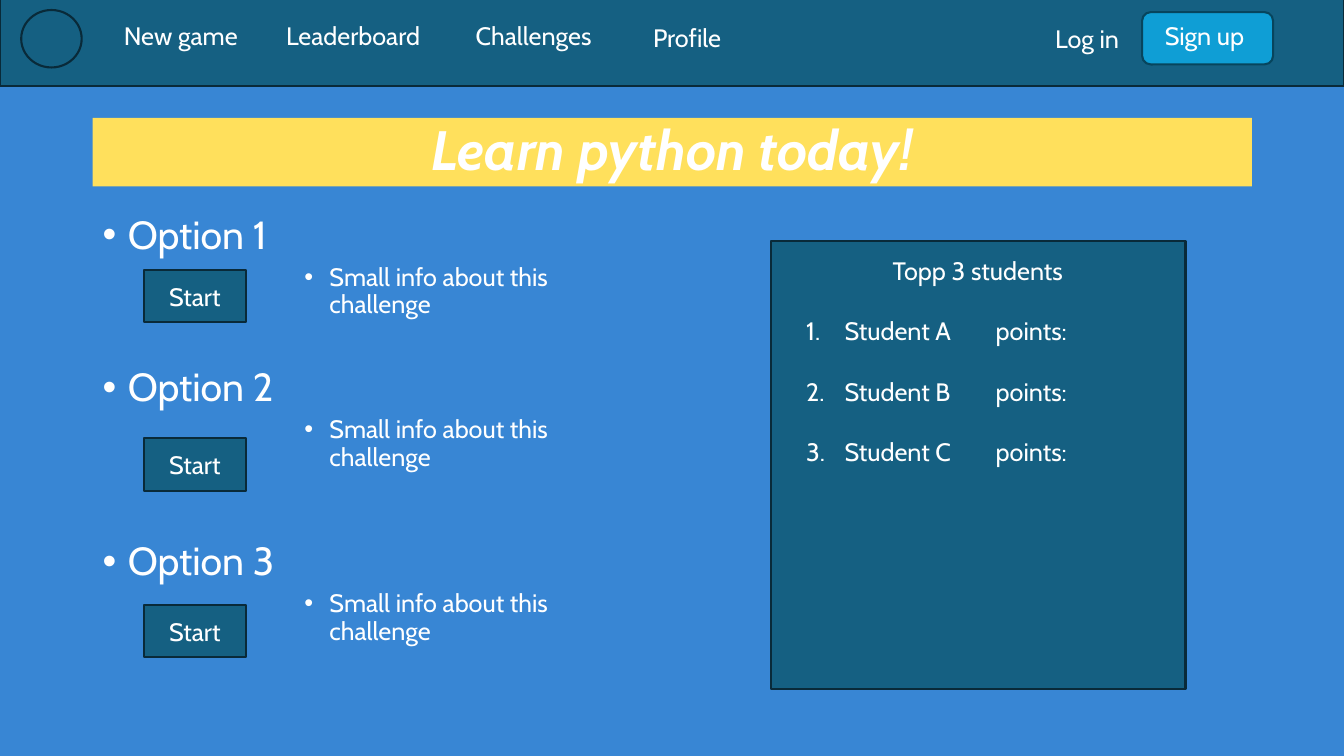
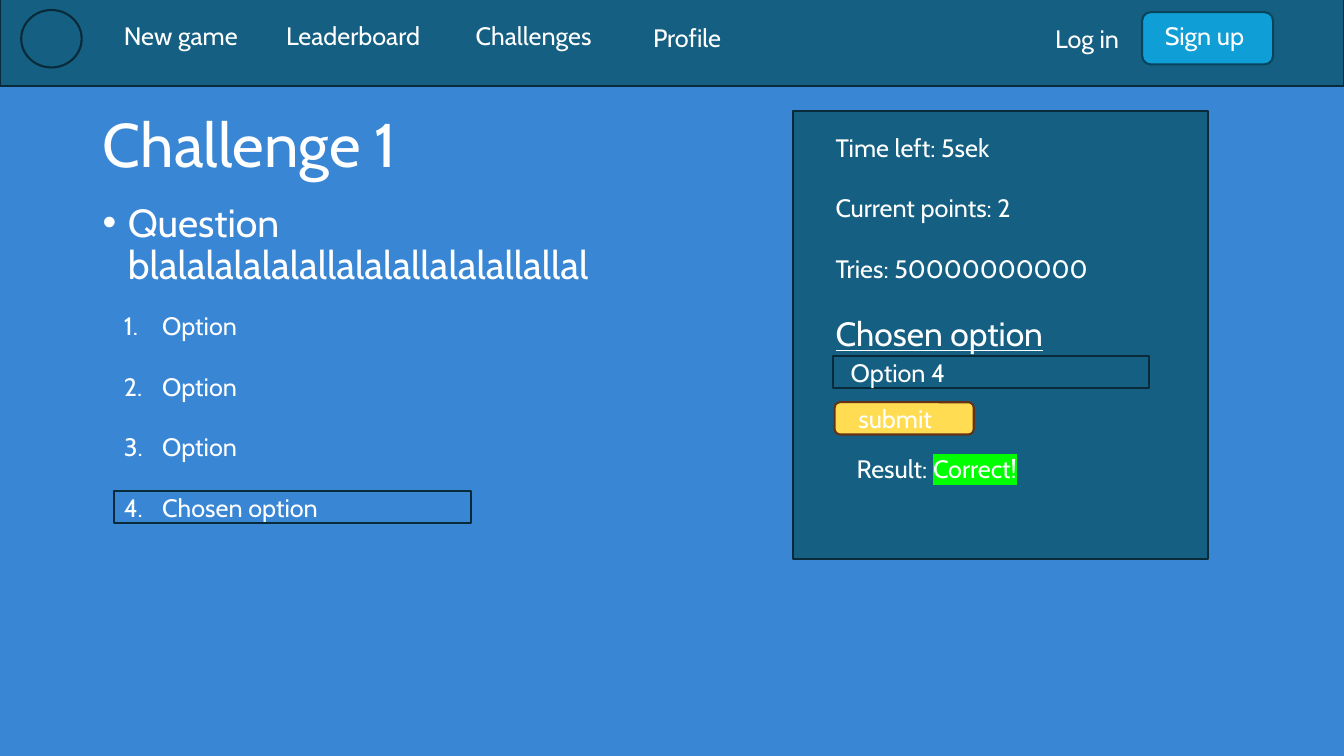
from dataclasses import dataclass
from typing import NamedTuple, Optional

from lxml import etree
from pptx import Presentation
from pptx.dml.color import RGBColor
from pptx.enum.shapes import MSO_SHAPE
from pptx.enum.text import MSO_ANCHOR, MSO_AUTO_SIZE, PP_ALIGN
from pptx.oxml.ns import qn
from pptx.util import Emu, Inches, Pt

RECTANGLE, ROUNDED, OVAL = MSO_SHAPE.RECTANGLE, MSO_SHAPE.ROUNDED_RECTANGLE, MSO_SHAPE.OVAL
LEFT, CENTER = PP_ALIGN.LEFT, PP_ALIGN.CENTER
TOP, MIDDLE = MSO_ANCHOR.TOP, MSO_ANCHOR.MIDDLE
NO_AUTOFIT = MSO_AUTO_SIZE.NONE
TITLE_ONLY = 5
WIDTH, HEIGHT = Inches(13.333), Inches(7.5)
DOT = ("buChar", "char", "•")
NUMBER = ("buAutoNum", "type", "arabicPeriod")


@dataclass(frozen=True)
class Theme:
    font: str = "Cabin"
    background: str = "3886D4"
    panel: str = "156082"
    outline: str = "092A39"
    accent: str = "0F9ED5"
    accent_outline: str = "07455D"
    banner: str = "FFE05C"
    submit: str = "FFDC51"
    submit_outline: str = "663216"
    text: str = "FFFFFF"
    correct: str = "00FF00"
    body: float = 18
    heading: float = 24
    option: float = 28
    banner_title: float = 39.6
    title: float = 44
    border: float = 1.5
    blank_line: float = 21.6


THEME = Theme()


class Area(NamedTuple):
    """Left, top, width and height in percent of the slide."""

    left: float
    top: float
    width: float
    height: float

    def emu(self) -> tuple[Emu, Emu, Emu, Emu]:
        return (Emu(round(WIDTH * self.left / 100)), Emu(round(HEIGHT * self.top / 100)),
                Emu(round(WIDTH * self.width / 100)), Emu(round(HEIGHT * self.height / 100)))


@dataclass(frozen=True)
class Line:
    text: str
    size: float = THEME.body
    before: float = 0
    spacing: Optional[float] = None
    bullet: Optional[tuple[str, str, str]] = None
    indent: float = 0
    hanging: float = 0
    align: PP_ALIGN = LEFT
    bold: bool = False
    italic: bool = False
    underline: bool = False
    highlighted: str = ""


class Label(NamedTuple):
    text: str
    area: Area


class Challenge(NamedTuple):
    name: str
    before: float
    button_top: float


NAVIGATION = (
    Label("New game", Area(8.48, 2, 12, 5.33)),
    Label("Leaderboard", Area(20.55, 2, 12.5, 5.33)),
    Label("Challenges", Area(34.65, 2, 13.2, 5.33)),
    Label("Profile", Area(47.85, 2.27, 11.4, 5.33)),
    Label("Log in", Area(77.78, 2.4, 7.95, 5.33)),
)
CHALLENGES = (
    Challenge("Option 1", 0, 35.73),
    Challenge("Option 2", 34.5, 58),
    Challenge("Option 3", 50.2, 80),
)
STUDENTS = ("Student A", "Student B", "Student C")
ANSWERS = ("Option", "Option", "Option", "Chosen option")
STATUS = ("Time left: 5sek", "Current points: 2", "Tries: 50000000000")


def color(value: str) -> RGBColor:
    return RGBColor.from_string(value)


def add_bullet(paragraph, line: Line) -> None:
    properties = paragraph._p.get_or_add_pPr()
    properties.set("marL", str(Inches(line.indent)))
    properties.set("indent", str(-Inches(line.hanging)))
    tint = etree.SubElement(properties, qn("a:buClr"))
    etree.SubElement(tint, qn("a:srgbClr"), val=THEME.text)
    tag, attribute, value = line.bullet
    typeface = "Arial" if line.bullet == DOT else THEME.font
    etree.SubElement(properties, qn("a:buFont"), typeface=typeface)
    etree.SubElement(properties, qn("a:" + tag)).set(attribute, value)


def add_highlight(run, value: str) -> None:
    highlight = etree.SubElement(run._r.get_or_add_rPr(), qn("a:highlight"))
    etree.SubElement(highlight, qn("a:srgbClr"), val=value)


def write(frame, lines: list[Line], anchor: MSO_ANCHOR = TOP) -> None:
    frame.word_wrap = True
    frame.auto_size = NO_AUTOFIT
    frame.vertical_anchor = anchor
    for index, line in enumerate(lines):
        paragraph = frame.add_paragraph() if index else frame.paragraphs[0]
        paragraph.add_run().text = line.text
        if line.highlighted:
            marked = paragraph.add_run()
            marked.text = line.highlighted
            add_highlight(marked, THEME.correct)
        if line.bullet:
            add_bullet(paragraph, line)
        paragraph.alignment = line.align
        paragraph.space_before = Pt(line.before)
        if line.spacing:
            paragraph.line_spacing = line.spacing
        font = paragraph.font
        font.name, font.size = THEME.font, Pt(line.size)
        font.bold, font.italic, font.underline = line.bold, line.italic, line.underline
        font.color.rgb = color(THEME.text)


def add_text(slide, area: Area, lines: list[Line]) -> None:
    write(slide.shapes.add_textbox(*area.emu()).text_frame, lines)


def add_box(slide, area: Area, kind: MSO_SHAPE = RECTANGLE, fill: Optional[str] = THEME.panel,
            outline: str = THEME.outline, label: str = "", align: PP_ALIGN = LEFT,
            inset: float = 0, lift: float = 0) -> None:
    box = slide.shapes.add_shape(kind, *area.emu())
    box.shadow.inherit = False
    if fill:
        box.fill.solid()
        box.fill.fore_color.rgb = color(fill)
    else:
        box.fill.background()
    box.line.color.rgb = color(outline)
    box.line.width = Pt(THEME.border)
    if label:
        frame = box.text_frame
        frame.margin_left = Inches(inset)
        frame.margin_right = frame.margin_top = 0
        frame.margin_bottom = Inches(lift)
        write(frame, [Line(label, align=align)], MIDDLE)


def spaced(texts: tuple[str, ...], numbered: bool = False) -> list[Line]:
    bullet, indent = (NUMBER, 0.38) if numbered else (None, 0)
    return [Line(text, before=THEME.blank_line if index else 0,
                 bullet=bullet, indent=indent, hanging=indent)
            for index, text in enumerate(texts)]


def add_header(slide) -> None:
    add_box(slide, Area(0, -0.13, 100, 11.47))
    add_box(slide, Area(1.58, 1.33, 4.5, 7.6), OVAL)
    for item in NAVIGATION:
        add_text(slide, item.area, [Line(item.text)])
    add_box(slide, Area(84.98, 1.6, 9.75, 6.93), ROUNDED, THEME.accent,
            THEME.accent_outline, "Sign up", inset=0.2, lift=0.06)


def add_page(deck, area: Area, heading: Line, fill: Optional[str] = None):
    slide = deck.slides.add_slide(deck.slide_layouts[TITLE_ONLY])
    slide.background.fill.solid()
    slide.background.fill.fore_color.rgb = color(THEME.background)
    title = slide.shapes.title
    title.left, title.top, title.width, title.height = area.emu()
    if fill:
        title.fill.solid()
        title.fill.fore_color.rgb = color(fill)
    write(title.text_frame, [heading], MIDDLE)
    add_header(slide)
    return slide


def add_panel(slide, left: float, top: float) -> None:
    add_box(slide, Area(left, top, 30.83, 59.33))


def option_line(text: str, before: float = 0) -> Line:
    return Line(text, THEME.option, before, 0.9, DOT, 0.25, 0.25)


def build_start(deck) -> None:
    slide = add_page(deck, Area(6.9, 15.6, 86.25, 9.07),
                     Line("Learn python today!", THEME.banner_title, spacing=0.9,
                          align=CENTER, bold=True, italic=True), THEME.banner)
    overview = []
    for challenge in CHALLENGES:
        overview += [option_line(challenge.name, challenge.before),
                     Line("Small info about this challenge", before=5, spacing=0.9,
                          bullet=DOT, indent=2.25, hanging=0.25)]
    add_text(slide, Area(6.9, 27.87, 34.65, 63.47), overview)
    for challenge in CHALLENGES:
        add_box(slide, Area(10.7, challenge.button_top, 7.58, 6.93),
                label="Start", align=CENTER)
    add_panel(slide, 57.38, 31.87)
    add_text(slide, Area(58.88, 33.07, 27.75, 5.33), [Line("Topp 3 students", align=CENTER)])
    add_text(slide, Area(59.25, 41.07, 14, 21.6), spaced(STUDENTS, numbered=True))
    add_text(slide, Area(73.35, 41.07, 12, 21.6), spaced(("points:",) * len(STUDENTS)))


def build_challenge(deck) -> None:
    slide = add_page(deck, Area(6.9, 14.8, 48, 9.33),
                     Line("Challenge 1", THEME.title, spacing=0.9))
    add_text(slide, Area(6.9, 26.27, 41.85, 14.8),
             [option_line("Question blalalalalalallalalallalalallallal")])
    add_text(slide, Area(8.48, 40.4, 38.78, 29.6), spaced(ANSWERS, numbered=True))
    add_box(slide, Area(8.48, 64.93, 26.55, 4.27), fill=None)
    add_panel(slide, 59.03, 14.67)
    chosen = Line("Chosen option", THEME.heading, THEME.blank_line, underline=True)
    add_text(slide, Area(61.43, 16.8, 25.35, 30.93), spaced(STATUS) + [chosen])
    add_box(slide, Area(61.95, 47.07, 23.55, 4.27), fill=None, label="Option 4", inset=0.18)
    add_box(slide, Area(62.1, 53.2, 10.35, 4.27), ROUNDED, THEME.submit,
            THEME.submit_outline, "submit", inset=0.22)
    add_text(slide, Area(63, 59.33, 22.88, 5.33), [Line("Result: ", highlighted="Correct!")])


def main() -> None:
    deck = Presentation()
    deck.slide_width, deck.slide_height = WIDTH, HEIGHT
    build_start(deck)
    build_challenge(deck)
    deck.save("out.pptx")


if __name__ == "__main__":
    main()
